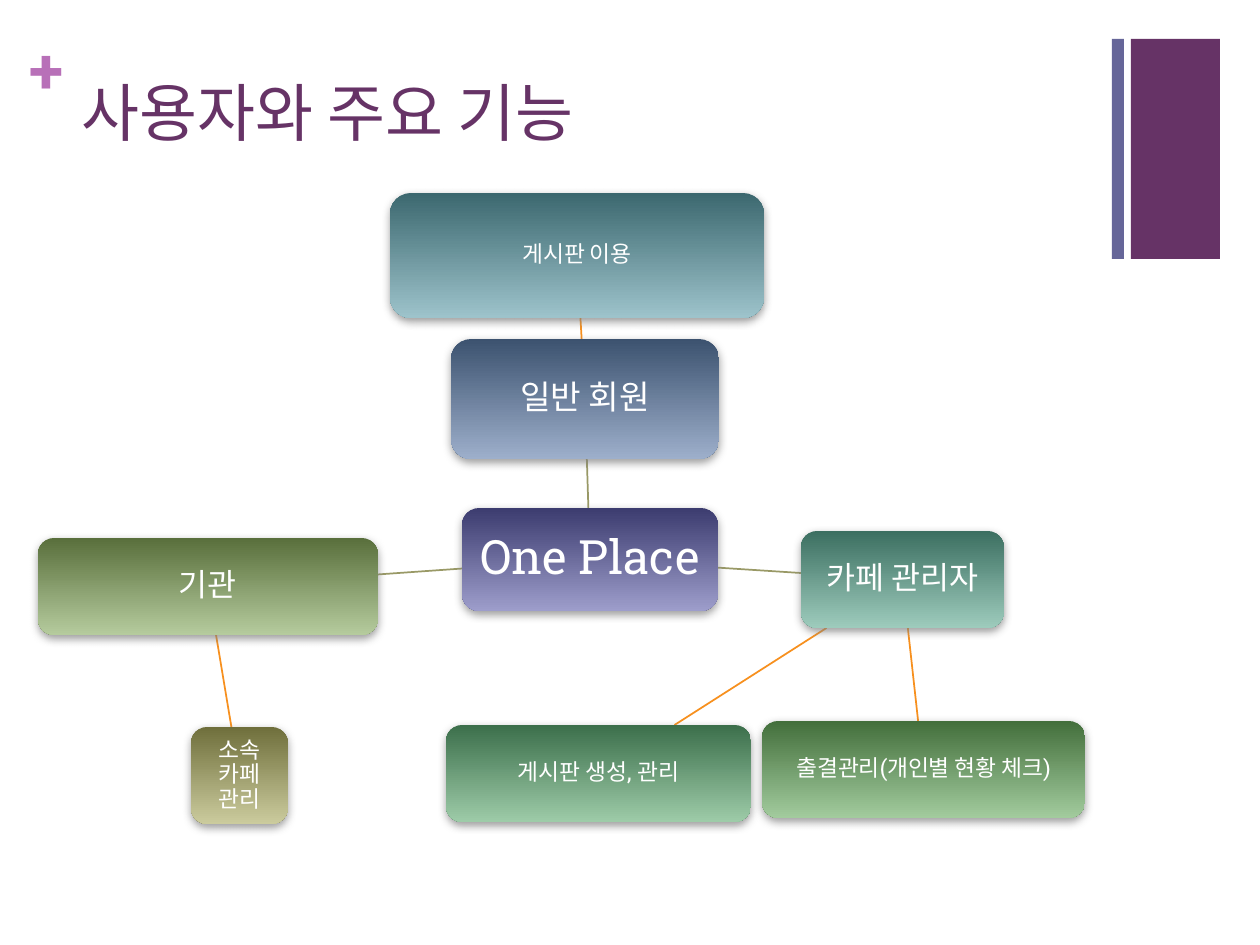
from pptx import Presentation
from pptx.dml.color import RGBColor
from pptx.enum.shapes import MSO_CONNECTOR, MSO_SHAPE
from pptx.enum.text import MSO_ANCHOR, PP_ALIGN
from pptx.oxml import parse_xml
from pptx.oxml.ns import nsdecls, qn
from pptx.util import Emu, Pt
from lxml.etree import SubElement

PX = 914400 / 126
FONT = "Roboto Slab"
PURPLE = RGBColor(0x66, 0x33, 0x66)
ORCHID = RGBColor(0xB8, 0x70, 0xB8)
SLATE = RGBColor(0x66, 0x66, 0x99)
OLIVE = RGBColor(0x99, 0x99, 0x66)
ORANGE = RGBColor(0xF7, 0x90, 0x1E)
WHITE = RGBColor(0xFF, 0xFF, 0xFF)

SHADOW = (
    f'<a:outerShdw {nsdecls("a")} blurRad="63500" dist="25400" dir="5400000" rotWithShape="0">'
    '<a:srgbClr val="808080"><a:alpha val="75000"/></a:srgbClr></a:outerShdw>'
)

# name: (left, top, width, height in px), text, size, gradient top, gradient bottom
NODES = {
    "center": ((462, 508, 256, 103), "One Place", 27, "3C3C6F", "9D9DCB"),
    "member": ((451, 339, 268, 120), "일반 회원", 19, "3C526F", "9DAFCB"),
    "board use": ((390, 193, 374, 125), "게시판 이용", 13, "3C686F", "9DC3CB"),
    "cafe manager": ((801, 531, 203, 97), "카페 관리자", 18, "3C6F61", "9DCBBC"),
    "board admin": ((446, 725, 305, 97), "게시판 생성, 관리", 13, "3C6F4B", "9DCBA8"),
    "attendance": ((762, 721, 323, 97), "출결관리(개인별 현황 체크)", 13, "436F3C", "A2CB9D"),
    "institution": ((38, 538, 340, 97), "기관", 18, "596F3C", "B5CB9D"),
    "own cafes": ((191, 727, 97, 97), "소속 카페 관리", 13, "6F6F3C", "CBCB9D"),
}
LINKS = [
    ("center", "institution", OLIVE),
    ("center", "cafe manager", OLIVE),
    ("center", "member", OLIVE),
    ("member", "board use", ORANGE),
    ("cafe manager", "board admin", ORANGE),
    ("cafe manager", "attendance", ORANGE),
    ("institution", "own cafes", ORANGE),
]


def px(*lengths):
    return [Emu(round(length * PX)) for length in lengths]


def edge_point(start, end):
    """Point where the line between two node centres leaves the start node."""
    left, top, width, height = NODES[start][0]
    other_left, other_top, other_width, other_height = NODES[end][0]
    x, y = left + width / 2, top + height / 2
    dx = other_left + other_width / 2 - x
    dy = other_top + other_height / 2 - y
    share = 1 / max(abs(dx) / (width / 2), abs(dy) / (height / 2))
    return x + dx * share, y + dy * share


deck = Presentation()
deck.slide_width, deck.slide_height = px(1260, 945)
page = deck.slides.add_slide(deck.slide_layouts[5])

# Corner bars and plus sign
for bounds, color in [((1131, 39, 89, 220), PURPLE), ((1112, 39, 12, 220), SLATE)]:
    bar = page.shapes.add_shape(MSO_SHAPE.RECTANGLE, *px(*bounds))
    bar.shadow.inherit = False
    bar.fill.solid()
    bar.fill.fore_color.rgb = color
    bar.line.fill.background()

plus = page.shapes.add_textbox(*px(30, 31, 37, 77))
frame = plus.text_frame
frame.margin_left = frame.margin_right = frame.margin_top = frame.margin_bottom = 0
frame.text = "+"
font = frame.paragraphs[0].runs[0].font
font.name, font.size, font.bold = FONT, Pt(36), True
font.color.rgb = ORCHID

title = page.shapes.title
title.left, title.top, title.width, title.height = px(69, 67, 1041, 154)
title.text_frame.text = "사용자와 주요 기능"
title.text_frame.vertical_anchor = MSO_ANCHOR.TOP
para = title.text_frame.paragraphs[0]
para.alignment = PP_ALIGN.LEFT
font = para.runs[0].font
font.name, font.size = FONT, Pt(36)
font.color.rgb = PURPLE

# Diagram: links first, nodes above them
for start, end, color in LINKS:
    link = page.shapes.add_connector(
        MSO_CONNECTOR.STRAIGHT, *px(*edge_point(start, end), *edge_point(end, start))
    )
    link.line.color.rgb = color
    link.line.width = Pt(1)
    SubElement(link.element.spPr, qn("a:effectLst"))

for bounds, text, size, top_color, bottom_color in NODES.values():
    box = page.shapes.add_shape(MSO_SHAPE.ROUNDED_RECTANGLE, *px(*bounds))
    box.line.fill.background()
    box.fill.gradient()
    box.fill.gradient_angle = 270
    for stop, color, position in zip(
        box.fill.gradient_stops, (top_color, bottom_color), (0, 1)
    ):
        stop.color.rgb = RGBColor.from_string(color)
        stop.position = position
    box.shadow.inherit = False
    box.element.spPr.find(qn("a:effectLst")).append(parse_xml(SHADOW))
    frame = box.text_frame
    frame.word_wrap = True
    frame.vertical_anchor = MSO_ANCHOR.MIDDLE
    frame.margin_left, frame.margin_right, frame.margin_top, frame.margin_bottom = px(10, 10, 10, 10)
    frame.text = text
    para = frame.paragraphs[0]
    para.alignment = PP_ALIGN.CENTER
    para.line_spacing = 0.9
    font = para.runs[0].font
    font.name, font.size = FONT, Pt(size)
    font.color.rgb = WHITE

deck.save("out.pptx")
